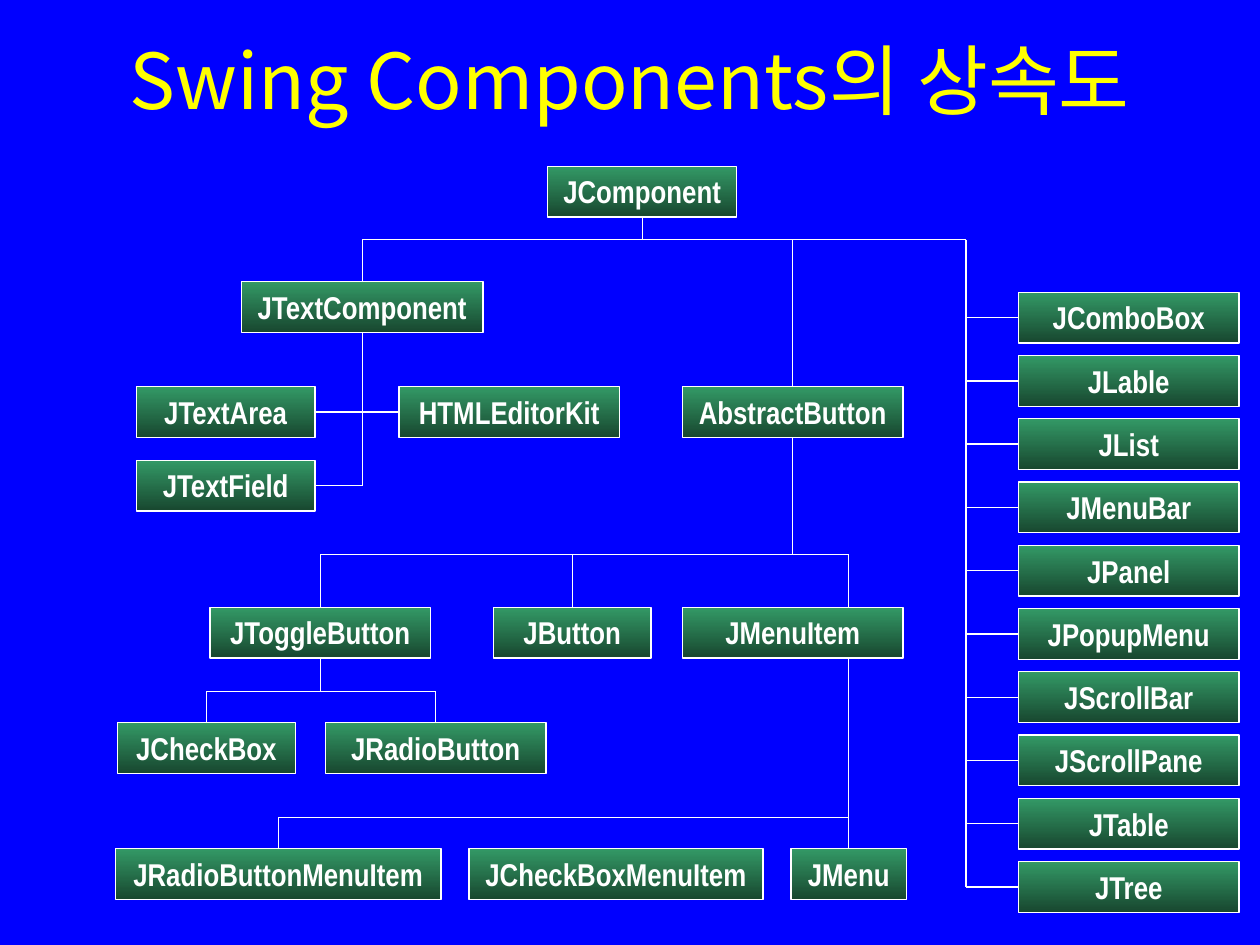
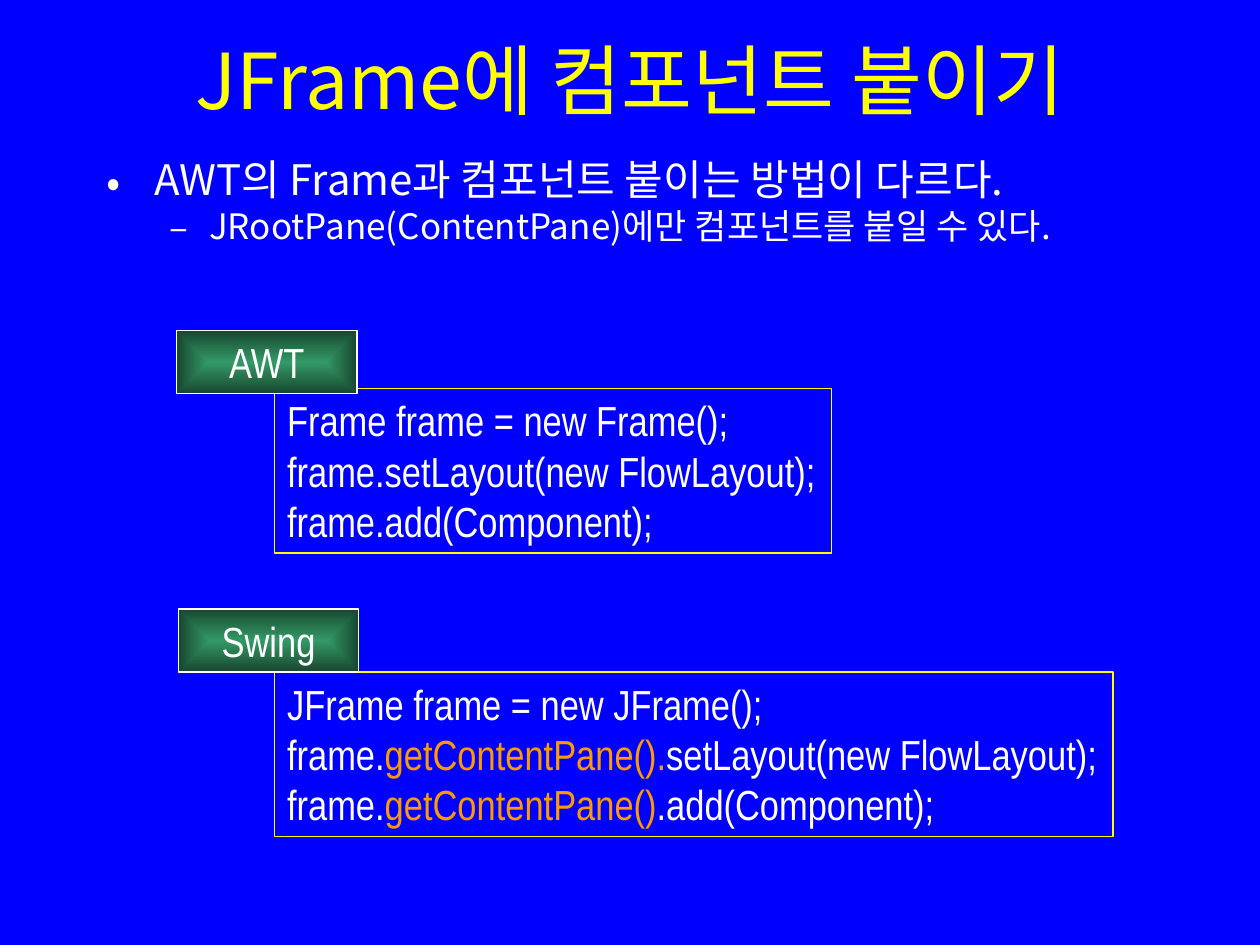
from pptx import Presentation
from pptx.dml.color import RGBColor
from pptx.enum.shapes import MSO_CONNECTOR as Wire, MSO_SHAPE as Shape
from pptx.enum.text import MSO_ANCHOR as Anchor, MSO_AUTO_SIZE as Auto, PP_ALIGN as Align
from pptx.oxml import parse_xml
from pptx.oxml.ns import nsdecls, qn
from pptx.oxml.xmlchemy import OxmlElement as Node
from pptx.util import Pt

BLUE = RGBColor(0x00, 0x00, 0xFF)
YELLOW = RGBColor(0xFF, 0xFF, 0x00)
WHITE = RGBColor(0xFF, 0xFF, 0xFF)
ORANGE = RGBColor(0xFF, 0x99, 0x00)
GREEN = RGBColor(0x33, 0x99, 0x66)
DARK = RGBColor(0x18, 0x47, 0x2F)

SANS, NARROW = "Noto Sans CJK KR", "Arial Narrow"
HEAD = {"name": SANS, "size": Pt(44), "color": YELLOW}
POINT = {"name": SANS, "size": Pt(24), "color": WHITE}
NOTE = {**POINT, "size": Pt(20)}
CODE = {"name": NARROW, "size": Pt(24), "color": WHITE}
CALL = {**CODE, "color": ORANGE}
LABEL = {**CODE, "size": Pt(18), "bold": True}

TOP, LEFT, BOTTOM, RIGHT = range(4)
BOX_H = 29
THIN = Pt(0.75)

# name: (left, top, width)
TREE = {
    "JComponent": (313, 95, 108),
    "JTextComponent": (138, 161, 138),
    "JTextArea": (78, 221, 102),
    "JTextField": (78, 263, 102),
    "HTMLEditorKit": (228, 221, 126),
    "AbstractButton": (390, 221, 126),
    "JMenuItem": (390, 347, 126),
    "JButton": (282, 347, 90),
    "JToggleButton": (120, 347, 126),
    "JCheckBox": (67, 413, 102),
    "JRadioButton": (186, 413, 126),
    "JMenu": (452, 485, 66),
    "JCheckBoxMenuItem": (268, 485, 168),
    "JRadioButtonMenuItem": (66, 485, 186),
}
COLUMN = ["JComboBox", "JLable", "JList", "JMenuBar", "JPanel", "JPopupMenu",
          "JScrollBar", "JScrollPane", "JTable", "JTree"]
COL_X, COL_Y, COL_W, COL_STEP = 582, 167, 126, 36.15
RAIL_X = 552

AWT = [
    [("Frame frame = new Frame();", CODE)],
    [("frame.setLayout(new FlowLayout);", CODE)],
    [("frame.add(Component);", CODE)],
]
SWING = [
    [("JFrame frame = new JFrame();", CODE)],
    [("frame.", CODE), ("getContentPane().", CALL), ("setLayout(new FlowLayout);", CODE)],
    [("frame.", CODE), ("getContentPane()", CALL), (".add(Component);", CODE)],
]


def add_run(para, text, style):
    run = para.add_run()
    run.text = text
    for key, value in style.items():
        if key == "color":
            run.font.color.rgb = value
        else:
            setattr(run.font, key, value)
    east = Node("a:ea")
    east.set("typeface", style["name"])
    run.font._element.append(east)


def add_text(slide, area):
    box = slide.shapes.add_textbox(*map(Pt, area))
    box.text_frame.word_wrap = True
    return box


def new_slide(deck, title):
    slide = deck.slides.add_slide(deck.slide_layouts[6])
    slide.background.fill.solid()
    slide.background.fill.fore_color.rgb = BLUE
    frame = add_text(slide, (54, 0, 612, 90)).text_frame
    frame.vertical_anchor = Anchor.MIDDLE
    para = frame.paragraphs[0]
    para.alignment = Align.CENTER
    add_run(para, title, HEAD)
    return slide


def set_line(item, color):
    item.line.color.rgb = color
    item.line.width = THIN


def add_box(slide, text, area, style):
    """Add a labelled box shaded green to dark green, top to bottom."""
    box = slide.shapes.add_shape(Shape.RECTANGLE, *map(Pt, area))
    box.shadow.inherit = False
    box.fill.gradient()
    box.fill.gradient_angle = 270
    for stop, color in zip(box.fill.gradient_stops, (GREEN, DARK)):
        stop.color.rgb = color
    set_line(box, WHITE)
    frame = box.text_frame
    frame.vertical_anchor = Anchor.TOP
    para = frame.paragraphs[0]
    para.alignment = Align.CENTER
    add_run(para, text, style)
    return box


def glow(box):
    """Turn the box's shading into one that spreads from its centre."""
    grad = box._element.spPr.find(qn("a:gradFill"))
    grad.replace(grad.find(qn("a:lin")), parse_xml(
        f'<a:path {nsdecls("a")} path="rect">'
        '<a:fillToRect l="50000" t="50000" r="50000" b="50000"/></a:path>'))


def add_line(slide, start, end):
    wire = slide.shapes.add_connector(Wire.STRAIGHT, *start, *end)
    wire._element.spPr.append(Node("a:effectLst"))
    set_line(wire, WHITE)
    return wire


def mid_x(box):
    return box.left + box.width // 2


def mid_y(box):
    return box.top + box.height // 2


def add_spur(slide, box, side, stop):
    """Run a line straight out of the middle of a side, up to x or y = stop."""
    if side in (TOP, BOTTOM):
        x = mid_x(box)
        start, end = (x, box.top + (side == BOTTOM) * box.height), (x, stop)
    else:
        y = mid_y(box)
        start, end = (box.left + (side == RIGHT) * box.width, y), (stop, y)
    wire = add_line(slide, start, end)
    wire.begin_connect(box, side)
    return wire


def add_bus(slide, y, left, right):
    add_line(slide, (left, Pt(y)), (right, Pt(y)))


def draw_tree(slide):
    box = {name: add_box(slide, name, (x, y, w, BOX_H), LABEL)
           for name, (x, y, w) in TREE.items()}
    column = [add_box(slide, name, (COL_X, COL_Y + i * COL_STEP, COL_W, BOX_H), LABEL)
              for i, name in enumerate(COLUMN)]
    rail = Pt(RAIL_X)
    menu_x = mid_x(box["JMenu"])

    add_bus(slide, 137, mid_x(box["JTextComponent"]), rail)
    add_bus(slide, 317, mid_x(box["JToggleButton"]), menu_x)
    add_bus(slide, 395, mid_x(box["JCheckBox"]), mid_x(box["JRadioButton"]))
    add_bus(slide, 467, mid_x(box["JRadioButtonMenuItem"]), menu_x)
    for name, side, y in (
        ("JComponent", BOTTOM, 137), ("JTextComponent", TOP, 137),
        ("AbstractButton", TOP, 137), ("AbstractButton", BOTTOM, 317),
        ("JToggleButton", TOP, 317), ("JButton", TOP, 317),
        ("JToggleButton", BOTTOM, 395), ("JCheckBox", TOP, 395),
        ("JRadioButton", TOP, 395), ("JRadioButtonMenuItem", TOP, 467),
    ):
        add_spur(slide, box[name], side, Pt(y))

    item = box["JMenuItem"]
    add_line(slide, (menu_x, Pt(317)), (menu_x, item.top))
    add_spur(slide, box["JMenu"], TOP, item.top + item.height)

    text, field, kit = box["JTextComponent"], box["JTextField"], box["HTMLEditorKit"]
    add_spur(slide, text, BOTTOM, mid_y(field))
    add_spur(slide, field, RIGHT, mid_x(text))
    add_spur(slide, box["JTextArea"], RIGHT, kit.left).end_connect(kit, LEFT)

    add_line(slide, (rail, Pt(137)), (rail, mid_y(column[-1])))
    for leaf in column:
        add_spur(slide, leaf, LEFT, rail)


def add_bullet(para, mark, left, hang):
    props = para._p.get_or_add_pPr()
    props.set("marL", str(Pt(left)))
    props.set("indent", str(-Pt(hang)))
    tint = Node("a:buClr")
    rgb = Node("a:srgbClr")
    rgb.set("val", str(WHITE))
    tint.append(rgb)
    face = Node("a:buFont")
    face.set("typeface", SANS)
    sign = Node("a:buChar")
    sign.set("char", mark)
    for node in (tint, face, sign):
        props.append(node)


def add_points(slide):
    frame = add_text(slide, (54, 90, 612, 56)).text_frame
    first, second = frame.paragraphs[0], frame.add_paragraph()
    second.level = 1
    second.space_before = Pt(5)
    for para, mark, left, hang, text, style in (
        (first, "•", 27, 27, "AWT의 Frame과 컴포넌트 붙이는 방법이 다르다.", POINT),
        (second, "–", 58.5, 22.5,
         "JRootPane(ContentPane)에만 컴포넌트를 붙일 수 있다.", NOTE),
    ):
        para.line_spacing = 0.8
        add_bullet(para, mark, left, hang)
        add_run(para, text, style)


def add_code(slide, lines, area):
    box = add_text(slide, area)
    set_line(box, YELLOW)
    frame = box.text_frame
    frame.word_wrap = False
    frame.auto_size = Auto.SHAPE_TO_FIT_TEXT
    for i, line in enumerate(lines):
        para = frame.add_paragraph() if i else frame.paragraphs[0]
        for text, style in line:
            add_run(para, text, style)


def main():
    deck = Presentation()
    deck.slide_width, deck.slide_height = Pt(720), Pt(540)

    draw_tree(new_slide(deck, "Swing Components의 상속도"))

    slide = new_slide(deck, "JFrame에 컴포넌트 붙이기")
    add_points(slide)
    add_code(slide, AWT, (157, 222, 318, 94))
    add_code(slide, SWING, (157, 384, 479, 94))
    for name, x, y in (("AWT", 101, 189), ("Swing", 102, 348)):
        glow(add_box(slide, name, (x, y, 103, 36), CODE))

    deck.save("out.pptx")


if __name__ == "__main__":
    main()
